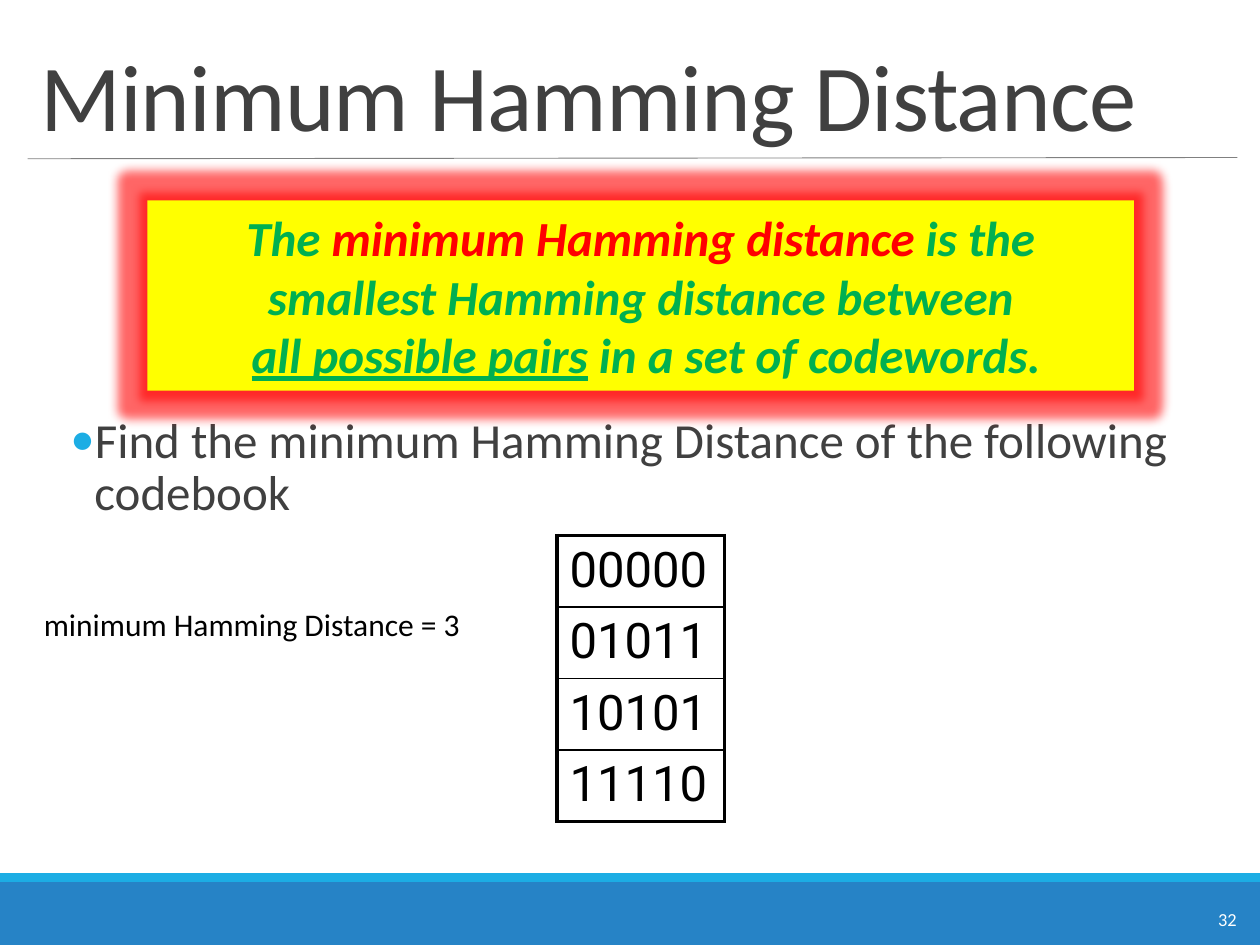
from lxml.etree import SubElement
from pptx import Presentation
from pptx.dml.color import RGBColor
from pptx.enum.shapes import MSO_CONNECTOR, MSO_SHAPE
from pptx.enum.text import MSO_ANCHOR, MSO_AUTO_SIZE, PP_ALIGN
from pptx.oxml import parse_xml
from pptx.oxml.ns import nsdecls, qn
from pptx.util import Inches, Pt

BLUE = RGBColor(0x26, 0x83, 0xC6)
SKY = RGBColor(0x1C, 0xAD, 0xE4)
GRAY = RGBColor(0x80, 0x80, 0x80)
DARK = RGBColor(0x40, 0x40, 0x40)
WHITE = RGBColor(0xFF, 0xFF, 0xFF)
BLACK = RGBColor(0, 0, 0)
YELLOW = RGBColor(0xFF, 0xFF, 0)
GREEN = RGBColor(0, 0xB0, 0x50)
RED = RGBColor(0xFF, 0, 0)


def style(run, size, color, name="Calibri"):
    font = run.font
    font.size, font.name = Pt(size), name
    font.color.rgb = color


def add_rect(slide, box, color):
    rect = slide.shapes.add_shape(MSO_SHAPE.RECTANGLE, *map(Inches, box))
    rect.shadow.inherit = False
    rect.fill.solid()
    rect.fill.fore_color.rgb = color
    rect.line.fill.background()
    return rect


def add_text(slide, box, text, size, color, wrap=False):
    frame = slide.shapes.add_textbox(*map(Inches, box)).text_frame
    frame.word_wrap = wrap
    frame.text = text
    style(frame.paragraphs[0].runs[0], size, color)
    return frame


def add_footer(slide, box):
    left, top, width, height = box
    strip = 0.07
    add_rect(slide, (left, top + strip, width, height - strip), BLUE)
    add_rect(slide, (left, top, width, strip), SKY)
    add_text(slide, (left + width - 0.43, top + 0.23, 0.37, 0.28), "32", 10.5, WHITE)


def add_title(slide, box):
    left, top, width, height = box
    title = slide.shapes.title
    title.left, title.top, title.width, title.height = map(Inches, box)
    frame = title.text_frame
    frame.text = "Minimum Hamming Distance"
    frame.auto_size = MSO_AUTO_SIZE.NONE
    frame.vertical_anchor = MSO_ANCHOR.BOTTOM
    para = frame.paragraphs[0]
    para.alignment = PP_ALIGN.LEFT
    para.line_spacing = 0.85
    run = para.runs[0]
    style(run, 54, DARK)
    run.font._element.set("spc", "-50")
    base = top + height
    rule = slide.shapes.add_connector(
        MSO_CONNECTOR.STRAIGHT, Inches(left), Inches(base + 0.01),
        Inches(left + width), Inches(base))
    rule.line.color.rgb = GRAY
    rule.line.width = Pt(0.5)
    SubElement(rule._element.spPr, qn("a:effectLst"))


def add_rule_box(slide, box):
    rect = add_rect(slide, box, YELLOW)
    glow = parse_xml(
        f'<a:glow {nsdecls("a")} rad="139700"><a:srgbClr val="{RED}">'
        '<a:alpha val="60000"/></a:srgbClr></a:glow>')
    rect._element.spPr.find(qn("a:effectLst")).append(glow)
    frame = rect.text_frame
    frame.word_wrap = True
    para = frame.paragraphs[0]
    para.alignment = PP_ALIGN.CENTER
    parts = [
        ("The ", GREEN, False),
        ("minimum Hamming distance", RED, False),
        (" is the smallest Hamming distance between", GREEN, False),
        (" ", GREEN, False),
        ("all possible pairs", GREEN, True),
        (" in a set of codewords.", GREEN, False),
    ]
    for text, color, under in parts:
        if text == " ":
            para.add_line_break()
        run = para.add_run()
        run.text = text
        style(run, 28, color)
        run.font.bold = run.font.italic = True
        run.font.underline = under


def add_task(slide, box):
    text = "Find the minimum Hamming Distance of the following codebook"
    frame = add_text(slide, box, text, 28, DARK, True)
    frame.margin_left = frame.margin_right = 0
    para = frame.paragraphs[0]
    para.line_spacing = 0.9
    para.space_before, para.space_after = Pt(12), Pt(2)
    props = para._p.get_or_add_pPr()
    props.set("marL", str(Inches(0.25)))
    props.set("indent", str(Inches(-0.19)))
    tint = SubElement(props, qn("a:buClr"))
    SubElement(tint, qn("a:srgbClr"), val=str(SKY))
    SubElement(props, qn("a:buFont"), typeface="Calibri")
    SubElement(props, qn("a:buChar"), char="•")


def set_edge(cell, side, width):
    edge = parse_xml(
        f'<a:{side} {nsdecls("a")} w="{Pt(width)}"><a:solidFill>'
        f'<a:srgbClr val="{BLACK}"/></a:solidFill></a:{side}>')
    cell._tc.get_or_add_tcPr().append(edge)


def add_codes(slide, box):
    codes = ["00000", "01011", "10101", "11110"]
    last = len(codes) - 1
    table = slide.shapes.add_table(len(codes), 1, *map(Inches, box)).table
    table.first_row = table.horz_banding = False
    for i, code in enumerate(codes):
        table.rows[i].height = Inches(box[3] / len(codes))
        cell = table.cell(i, 0)
        cell.text = code
        style(cell.text_frame.paragraphs[0].runs[0], 28, BLACK, "Roboto")
        set_edge(cell, "lnL", 2.25)
        set_edge(cell, "lnR", 2.25)
        set_edge(cell, "lnT", 2.25 if i == 0 else 1)
        set_edge(cell, "lnB", 2.25 if i == last else 1)
        cell.fill.background()


def main():
    deck = Presentation()
    deck.slide_width, deck.slide_height = Inches(10), Inches(7.5)
    slide = deck.slides.add_slide(deck.slide_layouts[5])
    add_footer(slide, (0, 6.93, 10, 0.57))
    add_title(slide, (0.22, 0.25, 9.6, 1))
    add_task(slide, (0.5, 3.25, 9, 3.5))
    add_rule_box(slide, (1.17, 1.59, 7.83, 1.51))
    add_codes(slide, (4.42, 4.25, 1.33, 2.27))
    add_text(slide, (0.25, 4.75, 3.6, 0.4), "minimum Hamming Distance = 3", 18, BLACK)
    deck.save("out.pptx")


if __name__ == "__main__":
    main()
